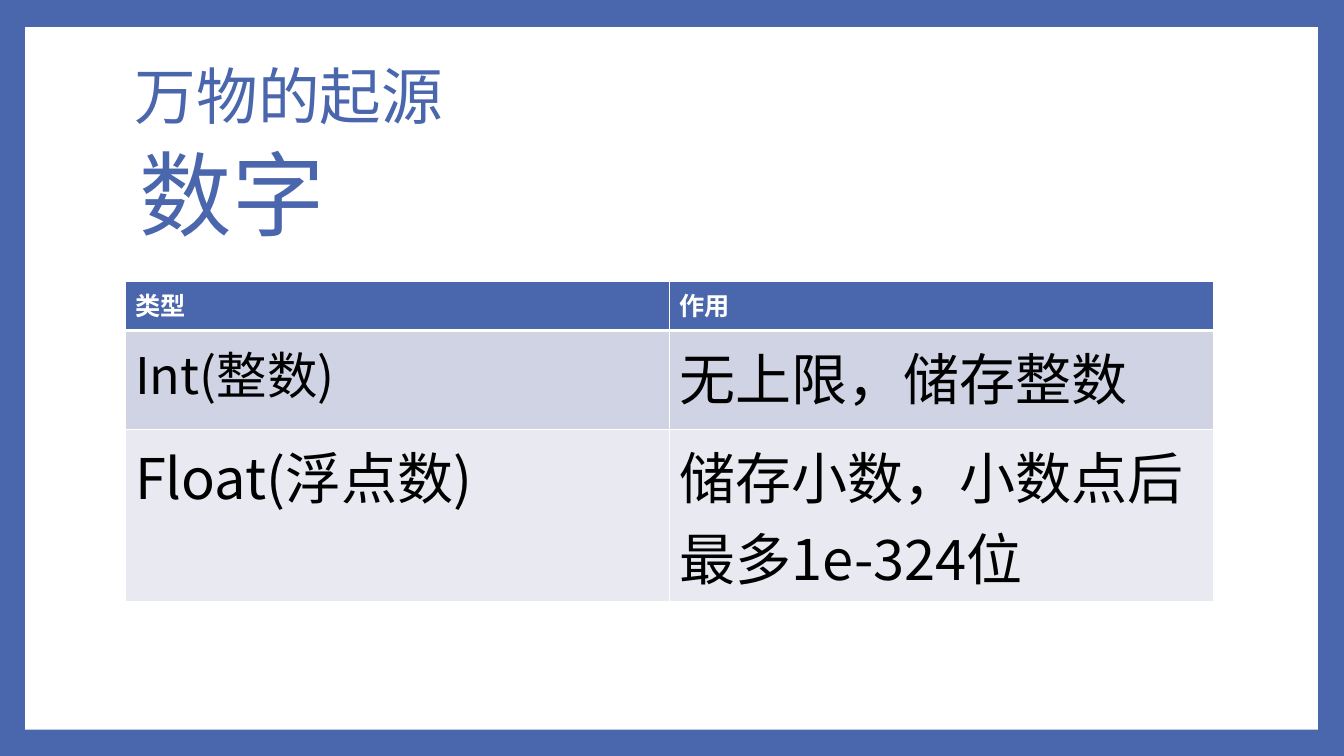
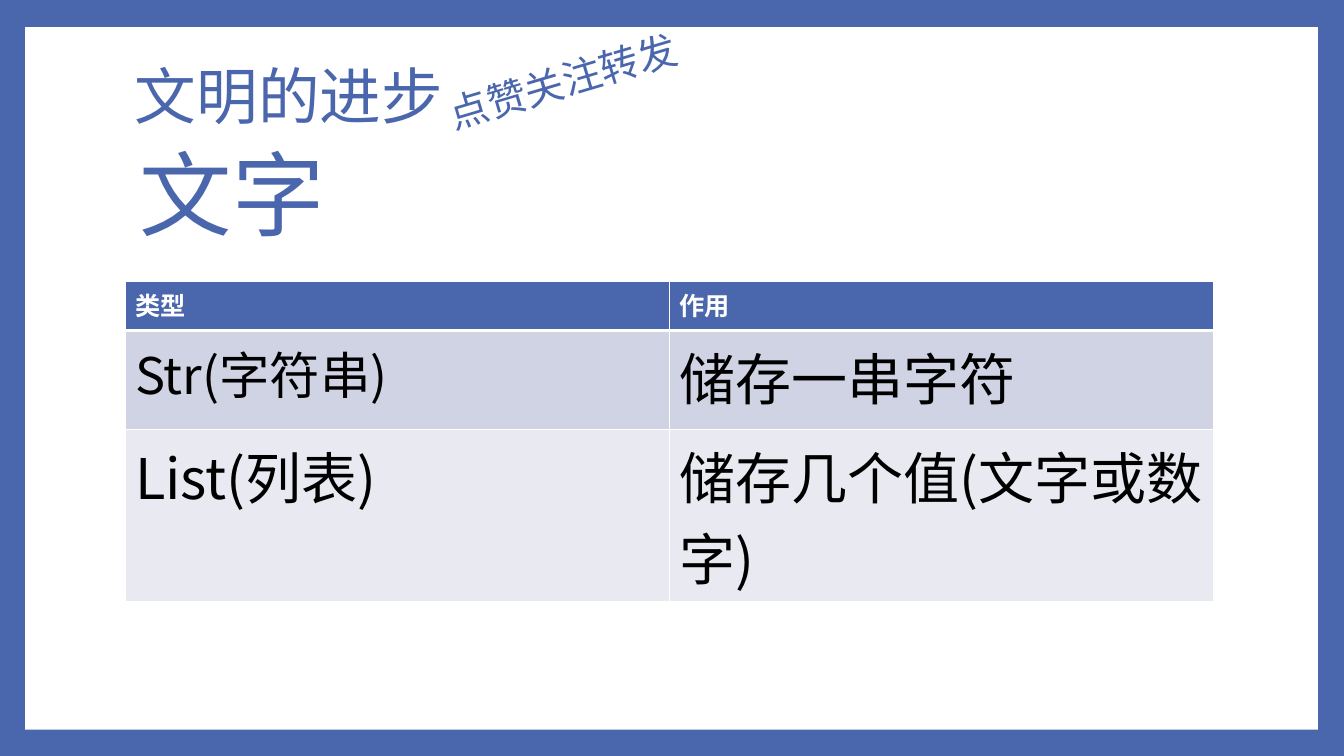
from lxml.etree import SubElement
from pptx import Presentation
from pptx.dml.color import RGBColor
from pptx.enum.shapes import MSO_SHAPE
from pptx.enum.text import MSO_ANCHOR
from pptx.oxml import parse_xml
from pptx.oxml.ns import nsdecls, qn
from pptx.util import Inches, Pt

BLUE, WHITE, BLACK = "4A66AC", "FFFFFF", "000000"
FILLS = [BLUE, "D0D3E3", "E9EAF1"]
FONT = "Noto Sans CJK SC"
HEAD = ["类型", "作用"]
WIDTHS = [5.4, 5.4]
HEIGHTS = [0.49, 0.98, 1.71]
SIZES = [[18, 18], [36, 40], [40, 40]]
RULES = [1, 3, 1, 1]


def paint(fill, color):
    """Give a fill one solid colour."""
    fill.solid()
    fill.fore_color.rgb = RGBColor.from_string(color)


def write(frame, text, size, color, bold=False, font=FONT):
    """Add one styled run to the first paragraph and return the paragraph."""
    para = frame.paragraphs[0]
    run = para.add_run()
    run.text = text
    run.font.size = Pt(size)
    run.font.bold = bold
    run.font.name = font
    paint(run.font.fill, color)
    SubElement(run.font._element, qn("a:ea"), typeface=FONT)
    return para


def add_panel(slide):
    """Add the white panel that leaves a blue frame."""
    panel = slide.shapes.add_shape(
        MSO_SHAPE.RECTANGLE, Inches(0.25), Inches(0.27), Inches(12.82), Inches(6.97))
    panel.shadow.inherit = False
    paint(panel.fill, WHITE)
    panel.line.fill.background()


def add_label(slide, box, text, size, font=FONT):
    """Add a blue text box and return it with its paragraph."""
    label = slide.shapes.add_textbox(*map(Inches, box))
    label.text_frame.word_wrap = True
    return label, write(label.text_frame, text, size, BLUE, font=font)


def add_title(slide, text):
    """Add the slide title, centred in its height."""
    title, para = add_label(slide, (1.24, 0.25, 10.8, 1.48), text, 44)
    title.text_frame.vertical_anchor = MSO_ANCHOR.MIDDLE
    para.line_spacing = 0.9


def add_edges(cell, top, base):
    """Draw white cell borders with the given top and bottom widths."""
    props = cell._tc.get_or_add_tcPr()
    for i, (side, width) in enumerate(zip("LRTB", (1, 1, top, base))):
        props.insert(i, parse_xml(
            f'<a:ln{side} {nsdecls("a")} w="{Pt(width)}"><a:solidFill>'
            f'<a:srgbClr val="{WHITE}"/></a:solidFill></a:ln{side}>'))


def add_grid(slide, rows):
    """Add the table of types under its header row."""
    grid = slide.shapes.add_table(
        len(HEIGHTS), len(WIDTHS), Inches(1.24), Inches(2.79),
        Inches(sum(WIDTHS)), Inches(sum(HEIGHTS))).table
    for col, width in zip(grid.columns, WIDTHS):
        col.width = Inches(width)
    for r, texts in enumerate([HEAD, *rows]):
        grid.rows[r].height = Inches(HEIGHTS[r])
        top = r == 0
        for c, text in enumerate(texts):
            cell = grid.cell(r, c)
            paint(cell.fill, FILLS[r])
            add_edges(cell, *RULES[r:r + 2])
            write(cell.text_frame, text, SIZES[r][c], WHITE if top else BLACK, top)


def add_page(deck, title, topic, rows):
    """Add one slide with panel, title, table and topic."""
    slide = deck.slides.add_slide(deck.slide_layouts[6])
    add_panel(slide)
    add_title(slide, title)
    add_grid(slide, rows)
    add_label(slide, (1.29, 1.31, 7.83, 1.21), topic, 66)
    return slide


def main():
    """Build and save the deck."""
    deck = Presentation()
    deck.slide_width, deck.slide_height = Inches(13.33), Inches(7.5)
    paint(deck.slide_master.background.fill, BLUE)
    add_page(deck, "万物的起源", "数字", [
        ["Int(整数)", "无上限，储存整数"],
        ["Float(浮点数)", "储存小数，小数点后最多1e-324位"]])
    slide = add_page(deck, "文明的进步", "文字", [
        ["Str(字符串)", "储存一串字符"],
        ["List(列表)", "储存几个值(文字或数字)"]])
    note, _ = add_label(slide, (4.31, 0.45, 3, 0.57), "点赞关注转发", 28, "Calibri")
    note.rotation = 343.4
    deck.save("out.pptx")


if __name__ == "__main__":
    main()
